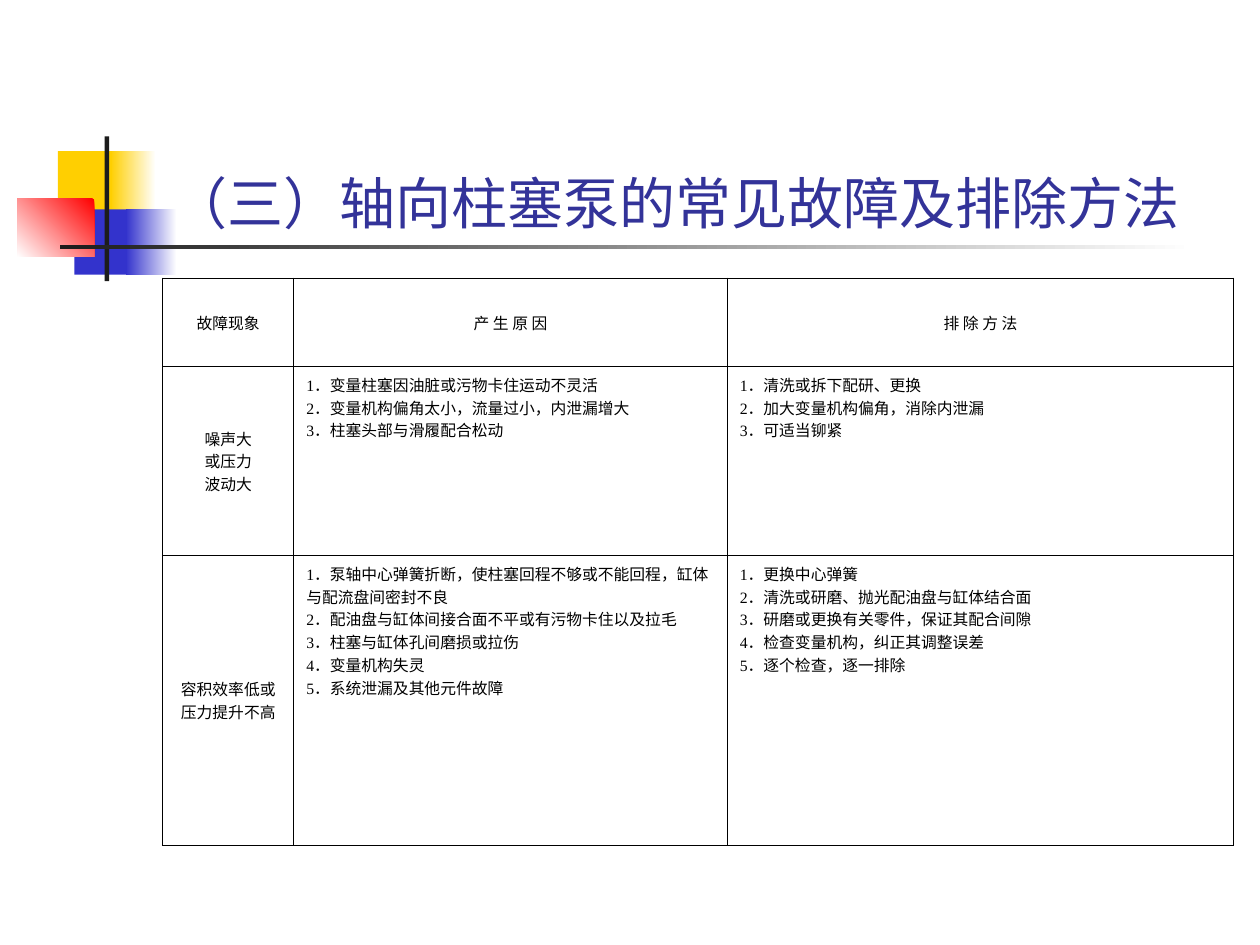
from lxml import etree
from pptx import Presentation
from pptx.dml.color import RGBColor
from pptx.enum.shapes import MSO_SHAPE
from pptx.enum.text import MSO_ANCHOR, PP_ALIGN
from pptx.oxml.ns import qn
from pptx.util import Cm, Pt

RECTANGLE = MSO_SHAPE.RECTANGLE
TOP, MIDDLE, BOTTOM = MSO_ANCHOR.TOP, MSO_ANCHOR.MIDDLE, MSO_ANCHOR.BOTTOM
LEFT, CENTER = PP_ALIGN.LEFT, PP_ALIGN.CENTER
TITLE_ONLY = 5
OUTER_WIDTH, INNER_WIDTH, SIDE_WIDTH = 0.96, 0.45, 0.34


def color(hex_string):
    return RGBColor.from_string(hex_string)


def add_border(cell, side, width):
    properties = cell._tc.get_or_add_tcPr()
    line = etree.SubElement(properties, qn(f"a:ln{side}"), w=str(Pt(width)))
    fill = etree.SubElement(line, qn("a:solidFill"))
    etree.SubElement(fill, qn("a:srgbClr"), val="000000")


presentation = Presentation()
presentation.slide_width, presentation.slide_height = Cm(25.4), Cm(19.05)
slide = presentation.slides.add_slide(presentation.slide_layouts[TITLE_ONLY])

# Ornament: left, top, width, height, colours, gradient angle
ornament = [
    (1.17, 3.05, 1.22, 1.32, ["FFCF01"], None),
    (2.23, 3.05, 0.91, 1.32, ["FFFFFF", "FFCF01"], 180),
    (1.5, 4.22, 1.17, 1.32, ["3333CC"], None),
    (2.54, 4.22, 1.02, 1.32, ["FFFFFF", "3333CC"], 180),
    (0.35, 4.01, 1.55, 1.17, ["FF0000", "FFFFFF"], 225),
    (2.11, 2.75, 0.09, 2.92, ["1C1C1C"], None),
    (1.22, 4.94, 22.86, 0.09, ["FFFFFF", "1C1C1C"], 180),
]
for left, top, width, height, colors, angle in ornament:
    shape = slide.shapes.add_shape(RECTANGLE, Cm(left), Cm(top), Cm(width), Cm(height))
    shape.shadow.inherit = False
    shape.line.fill.background()
    if angle is None:
        shape.fill.solid()
        shape.fill.fore_color.rgb = color(colors[0])
    else:
        shape.fill.gradient()
        shape.fill.gradient_angle = angle
        for stop, position, stop_color in zip(shape.fill.gradient_stops, (0, 1), colors):
            stop.position = position
            stop.color.rgb = color(stop_color)

# Title, in front of the ornament
title = slide.shapes.title
slide.shapes._spTree.append(title._element)
title_place = {"left": Cm(3.2), "top": Cm(1.7), "width": Cm(21.64), "height": Cm(3.18)}
for name, value in title_place.items():
    setattr(title, name, value)
title.text_frame.text = "（三）轴向柱塞泵的常见故障及排除方法"
title.text_frame.vertical_anchor = BOTTOM
title.text_frame.word_wrap = True
paragraph = title.text_frame.paragraphs[0]
paragraph.alignment = LEFT
paragraph.font.color.rgb = color("333399")
for name, value in {"name": "Lato", "size": Pt(32)}.items():
    setattr(paragraph.font, name, value)

# Fault table
rows = [
    (["故障现象"], ["产 生 原 因"], ["排 除 方 法"]),
    (
        ["噪声大", "或压力", "波动大"],
        [
            "1．变量柱塞因油脏或污物卡住运动不灵活",
            "2．变量机构偏角太小，流量过小，内泄漏增大",
            "3．柱塞头部与滑履配合松动",
        ],
        ["1．清洗或拆下配研、更换", "2．加大变量机构偏角，消除内泄漏", "3．可适当铆紧"],
    ),
    (
        ["容积效率低或压力提升不高"],
        [
            "1．泵轴中心弹簧折断，使柱塞回程不够或不能回程，缸体与配流盘间密封不良",
            "2．配油盘与缸体间接合面不平或有污物卡住以及拉毛",
            "3．柱塞与缸体孔间磨损或拉伤",
            "4．变量机构失灵",
            "5．系统泄漏及其他元件故障",
        ],
        [
            "1．更换中心弹簧",
            "2．清洗或研磨、抛光配油盘与缸体结合面",
            "3．研磨或更换有关零件，保证其配合间隙",
            "4．检查变量机构，纠正其调整误差",
            "5．逐个检查，逐一排除",
        ],
    ),
]
column_widths = [2.64, 8.74, 10.21]
row_heights = [1.78, 3.81, 5.84]
table = slide.shapes.add_table(
    len(rows), len(column_widths), Cm(3.28), Cm(5.61),
    Cm(sum(column_widths)), Cm(sum(row_heights)),
).table
table.first_row = table.horz_banding = False
for column, width in zip(table.columns, column_widths):
    column.width = Cm(width)
for row, height in zip(table.rows, row_heights):
    row.height = Cm(height)

last_row, last_column = len(rows) - 1, len(column_widths) - 1
for row_index, row_texts in enumerate(rows):
    for column_index, lines in enumerate(row_texts):
        cell = table.cell(row_index, column_index)
        is_heading = row_index == 0 or column_index == 0
        cell.text = "\n".join(lines)
        cell.vertical_anchor = MIDDLE if is_heading else TOP
        for paragraph in cell.text_frame.paragraphs:
            paragraph.alignment = CENTER if is_heading else LEFT
            paragraph.font.color.rgb = color("000000")
            for name, value in {"name": "Times New Roman", "size": Pt(9)}.items():
                setattr(paragraph.font, name, value)
        borders = {
            "L": SIDE_WIDTH if column_index == 0 else INNER_WIDTH,
            "R": SIDE_WIDTH if column_index == last_column else INNER_WIDTH,
            "T": OUTER_WIDTH if row_index == 0 else INNER_WIDTH,
            "B": OUTER_WIDTH if row_index == last_row else INNER_WIDTH,
        }
        for side, width in borders.items():
            add_border(cell, side, width)
        cell.fill.background()

presentation.save("out.pptx")
